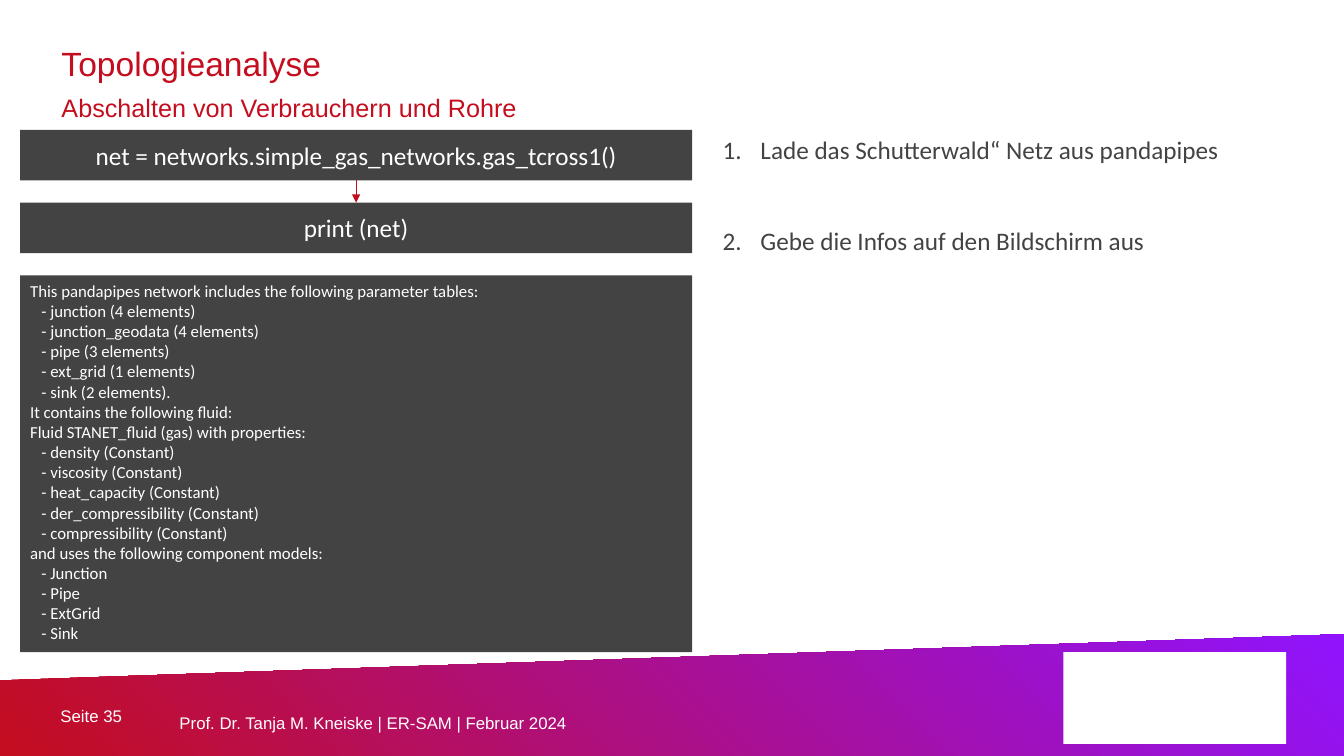
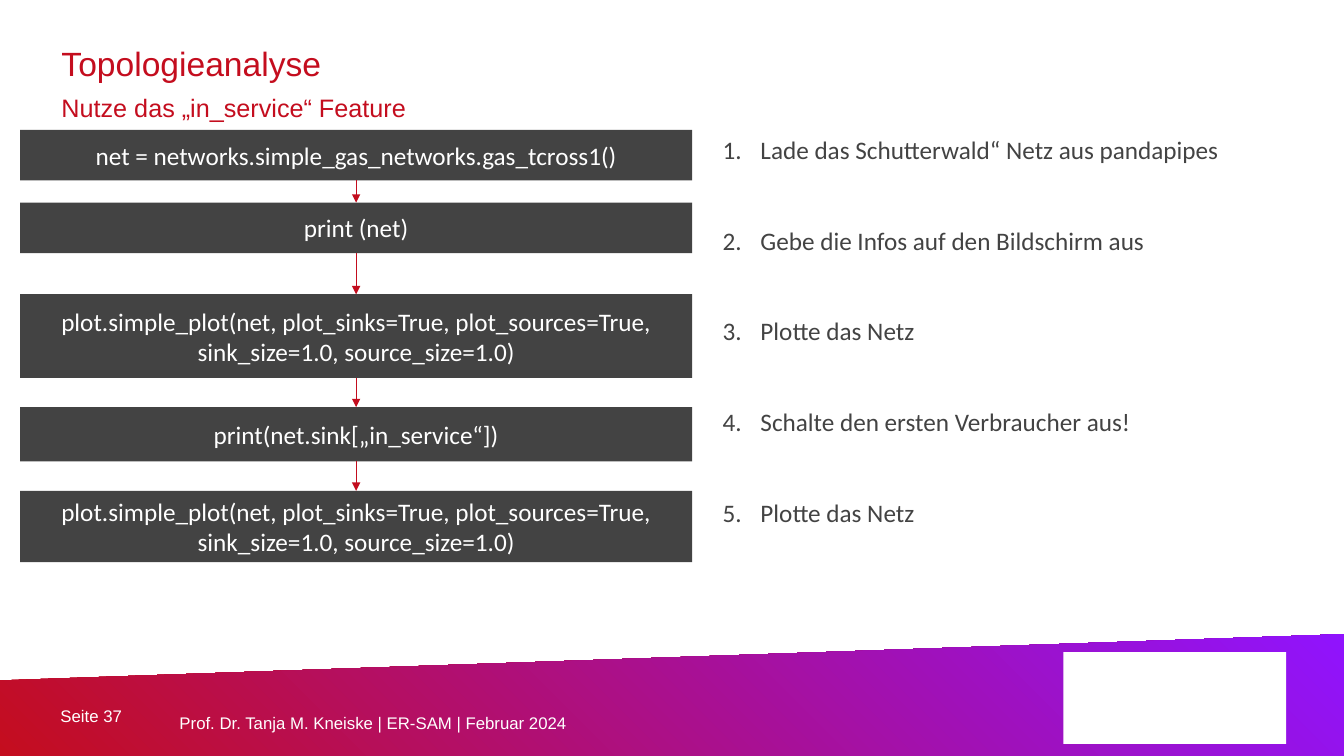
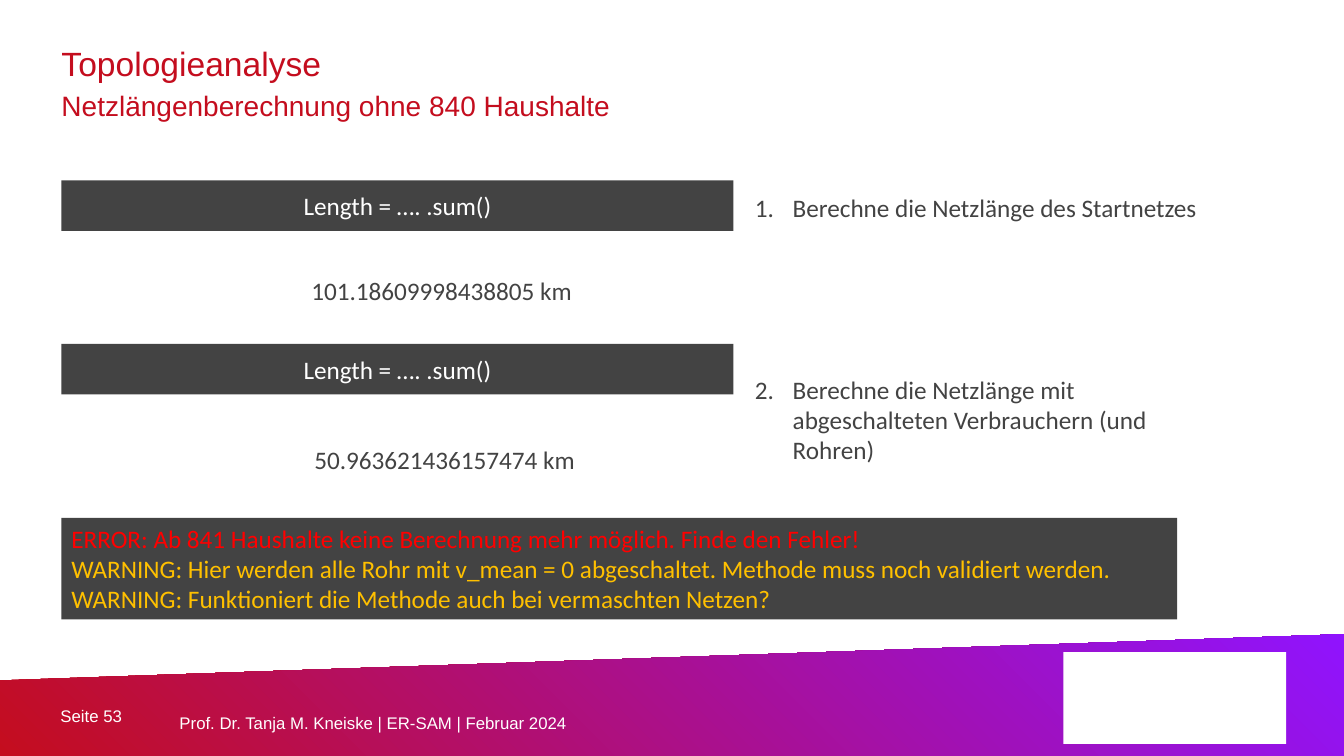
"""Build three slides on topology analysis of gas networks."""
from dataclasses import dataclass
from itertools import pairwise
from typing import Optional

from lxml.etree import SubElement
from pptx import Presentation
from pptx.dml.color import RGBColor
from pptx.enum.shapes import MSO_CONNECTOR as Connector, MSO_SHAPE as Preset
from pptx.enum.text import MSO_ANCHOR as Anchor, MSO_AUTO_SIZE as AutoSize, PP_ALIGN as Align
from pptx.oxml.ns import qn
from pptx.shapes.autoshape import Shape
from pptx.slide import Slide
from pptx.text.text import TextFrame
from pptx.util import Pt


@dataclass(frozen=True)
class Theme:
    red: str = "C40D1E"
    violet: str = "9013FE"
    arrow: str = "C30D1E"
    dark: str = "434343"
    white: str = "FFFFFF"
    error: str = "FF0000"
    warning: str = "FFC000"
    heading_font: str = "Arial"
    text_font: str = "Calibri"
    title_size: float = 24
    body_size: float = 18
    small_size: float = 12
    title_leading: float = 28
    footer_leading: float = 24
    list_indent: float = 27
    blank_line: float = 21.6
    arrow_width: float = 0.5


THEME = Theme()


@dataclass(frozen=True)
class Area:
    left: float
    top: float
    width: float
    height: float


@dataclass(frozen=True)
class Panel:
    area: Area
    text: str
    size: float = THEME.body_size
    align: Align = Align.CENTER
    anchor: Anchor = Anchor.MIDDLE
    colors: tuple[str, ...] = (THEME.white,)


@dataclass(frozen=True)
class Label:
    area: Area
    text: str


@dataclass(frozen=True)
class Page:
    number: int
    subtitle: str
    list_area: Area
    items: tuple[str, ...]
    blank_lines: int
    steps: tuple[Panel, ...] = ()
    panels: tuple[Panel, ...] = ()
    labels: tuple[Label, ...] = ()
    subtitle_size: float = THEME.body_size


SLIDE_WIDTH, SLIDE_HEIGHT = 960, 540
TITLE = "Topologieanalyse"
TITLE_AREA = Area(43.9, 31, 654.5, 56.2)
NUMBER_AREA = Area(43.2, 504, 85, 15.1)
FOOTER = "Prof. Dr. Tanja M. Kneiske | ER-SAM | Februar 2024"
FOOTER_AREA = Area(128.2, 499.5, 600, 24)
BADGE_AREA = Area(759.6, 465.8, 159.1, 65.5)
BAND_OUTLINE = ((SLIDE_WIDTH, 452.6), (SLIDE_WIDTH, SLIDE_HEIGHT), (0, SLIDE_HEIGHT))
BAND_LEFT_TOP = 486

LOAD = "Lade das Schutterwald“ Netz aus pandapipes"
SHOW = "Gebe die Infos auf den Bildschirm aus"
PLOT = "Plotte das Netz"
PLOT_CODE = "plot.simple_plot(net, plot_sinks=True, plot_sources=True, sink_size=1.0, source_size=1.0)"
SUM_CODE = "Length = …. .sum()"
NETWORK_INFO = """This pandapipes network includes the following parameter tables:
   - junction (4 elements)
   - junction_geodata (4 elements)
   - pipe (3 elements)
   - ext_grid (1 elements)
   - sink (2 elements).
It contains the following fluid:
Fluid STANET_fluid (gas) with properties:
   - density (Constant)
   - viscosity (Constant)
   - heat_capacity (Constant)
   - der_compressibility (Constant)
   - compressibility (Constant)
and uses the following component models:
   - Junction
   - Pipe
   - ExtGrid
   - Sink"""
MESSAGES = """ERROR: Ab 841 Haushalte keine Berechnung mehr möglich. Finde den Fehler!
WARNING: Hier werden alle Rohr mit v_mean = 0 abgeschaltet. Methode muss noch validiert werden.
WARNING: Funktioniert die Methode auch bei vermaschten Netzen?"""


def flow_area(top: float, height: float = 36) -> Area:
    return Area(14.4, top, 480, height)


LOAD_STEPS = (
    Panel(flow_area(92.8), "net = networks.simple_gas_networks.gas_tcross1()"),
    Panel(flow_area(144.8), "print (net)"),
)
PAGES = (
    Page(
        35, "Abschalten von Verbrauchern und Rohre",
        Area(509, 92.2, 374, 116.6), (LOAD, SHOW), 2,
        steps=LOAD_STEPS,
        panels=(Panel(flow_area(196.8, 269), NETWORK_INFO, THEME.small_size, Align.LEFT, Anchor.TOP),),
    ),
    Page(
        37, "Nutze das „in_service“ Feature",
        Area(509, 92.2, 374, 312.5),
        (LOAD, SHOW, PLOT, "Schalte den ersten Verbraucher aus!", PLOT), 2,
        steps=LOAD_STEPS + (
            Panel(flow_area(210.2, 59.8), PLOT_CODE),
            Panel(flow_area(290.8, 38.8), "print(net.sink[„in_service“])"),
            Panel(flow_area(350.6, 51), PLOT_CODE),
        ),
    ),
    Page(
        53, "Netzlängenberechnung ohne 840 Haushalte",
        Area(532, 134, 349.2, 203.8),
        ("Berechne die Netzlänge des Startnetzes",
         "Berechne die Netzlänge mit abgeschalteten Verbrauchern (und Rohren)"), 5,
        panels=(
            Panel(Area(43.9, 128.9, 480, 36), SUM_CODE),
            Panel(Area(43.9, 245.7, 480, 36), SUM_CODE),
            Panel(Area(43.9, 370, 797, 72.5), MESSAGES, align=Align.LEFT, anchor=Anchor.TOP,
                  colors=(THEME.error, THEME.warning, THEME.warning)),
        ),
        labels=(
            Label(Area(215.3, 193.2, 220, 28.8), "101.18609998438805 km"),
            Label(Area(217.4, 314, 220, 28.8), "50.963621436157474 km"),
        ),
        subtitle_size=20,
    ),
)


def rgb(color: str) -> RGBColor:
    return RGBColor.from_string(color)


def bounds(area: Area) -> tuple[Pt, Pt, Pt, Pt]:
    return Pt(area.left), Pt(area.top), Pt(area.width), Pt(area.height)


def move(shape: Shape, area: Area) -> None:
    shape.left, shape.top, shape.width, shape.height = bounds(area)


def remove_insets(text_frame: TextFrame) -> None:
    text_frame.margin_left = text_frame.margin_right = 0
    text_frame.margin_top = text_frame.margin_bottom = 0


def write(text_frame: TextFrame, text: str, font: str, sizes: tuple[float, ...],
          colors: tuple[str, ...], align: Align = Align.LEFT, anchor: Anchor = Anchor.TOP,
          leading: Optional[float] = None) -> None:
    text_frame.text = text
    text_frame.word_wrap = True
    text_frame.auto_size = AutoSize.NONE
    text_frame.vertical_anchor = anchor
    for index, paragraph in enumerate(text_frame.paragraphs):
        paragraph.alignment = align
        if leading:
            paragraph.line_spacing = Pt(leading)
        for run in paragraph.runs:
            run.font.name = font
            run.font.size = Pt(sizes[index % len(sizes)])
            run.font.color.rgb = rgb(colors[index % len(colors)])


def add_rectangle(slide: Slide, area: Area, color: str) -> Shape:
    shape = slide.shapes.add_shape(Preset.RECTANGLE, *bounds(area))
    shape.shadow.inherit = False
    shape.fill.solid()
    shape.fill.fore_color.rgb = rgb(color)
    shape.line.fill.background()
    return shape


def add_footer_text(slide: Slide, area: Area, text: str, leading: Optional[float] = None) -> None:
    text_frame = slide.shapes.add_textbox(*bounds(area)).text_frame
    remove_insets(text_frame)
    write(text_frame, text, THEME.heading_font, (THEME.small_size,), (THEME.white,),
          anchor=Anchor.MIDDLE, leading=leading)


def add_footer(slide: Slide, number: int) -> None:
    builder = slide.shapes.build_freeform(0, BAND_LEFT_TOP, scale=Pt(1))
    builder.add_line_segments(BAND_OUTLINE, close=True)
    band = builder.convert_to_shape()
    band.shadow.inherit = False
    band.line.fill.background()
    band.fill.gradient()
    band.fill.gradient_angle = 45
    for stop, color, position in zip(band.fill.gradient_stops, (THEME.red, THEME.violet), (0, 1)):
        stop.color.rgb = rgb(color)
        stop.position = position
    add_footer_text(slide, NUMBER_AREA, f"Seite {number}")
    add_footer_text(slide, FOOTER_AREA, FOOTER, THEME.footer_leading)
    add_rectangle(slide, BADGE_AREA, THEME.white)


def set_title(slide: Slide, page: Page) -> None:
    title = slide.shapes.title
    move(title, TITLE_AREA)
    remove_insets(title.text_frame)
    write(title.text_frame, f"{TITLE}\n{page.subtitle}", THEME.heading_font,
          (THEME.title_size, page.subtitle_size), (THEME.red,),
          anchor=Anchor.BOTTOM, leading=THEME.title_leading)


def set_list(slide: Slide, page: Page) -> None:
    body = slide.placeholders[1]
    move(body, page.list_area)
    write(body.text_frame, "\n".join(page.items), THEME.text_font, (THEME.body_size,), (THEME.dark,))
    for index, paragraph in enumerate(body.text_frame.paragraphs):
        properties = paragraph._p.get_or_add_pPr()
        properties.set("marL", str(Pt(THEME.list_indent)))
        properties.set("indent", str(-Pt(THEME.list_indent)))
        SubElement(properties, qn("a:buFont"), typeface=THEME.text_font)
        SubElement(properties, qn("a:buAutoNum"), type="arabicPeriod")
        paragraph.space_before = Pt(page.blank_lines * THEME.blank_line if index else 0)


def add_panel(slide: Slide, panel: Panel) -> Shape:
    shape = add_rectangle(slide, panel.area, THEME.dark)
    write(shape.text_frame, panel.text, THEME.text_font, (panel.size,), panel.colors,
          panel.align, panel.anchor)
    return shape


def add_arrow(slide: Slide, source: Shape, target: Shape) -> None:
    arrow = slide.shapes.add_connector(Connector.STRAIGHT, 0, 0, 0, 0)
    arrow.begin_connect(source, 2)
    arrow.end_connect(target, 0)
    arrow.line.color.rgb = rgb(THEME.arrow)
    arrow.line.width = Pt(THEME.arrow_width)
    properties = arrow._element.spPr
    SubElement(properties.find(qn("a:ln")), qn("a:tailEnd"), type="triangle")
    SubElement(properties, qn("a:effectLst"))


def add_label(slide: Slide, label: Label) -> None:
    textbox = slide.shapes.add_textbox(*bounds(label.area))
    write(textbox.text_frame, label.text, THEME.text_font, (THEME.body_size,), (THEME.dark,))


def main() -> None:
    presentation = Presentation()
    presentation.slide_width, presentation.slide_height = Pt(SLIDE_WIDTH), Pt(SLIDE_HEIGHT)
    for page in PAGES:
        slide = presentation.slides.add_slide(presentation.slide_layouts[1])
        add_footer(slide, page.number)
        set_title(slide, page)
        set_list(slide, page)
        steps = [add_panel(slide, step) for step in page.steps]
        for source, target in pairwise(steps):
            add_arrow(slide, source, target)
        for panel in page.panels:
            add_panel(slide, panel)
        for label in page.labels:
            add_label(slide, label)
    presentation.save("out.pptx")


if __name__ == "__main__":
    main()
